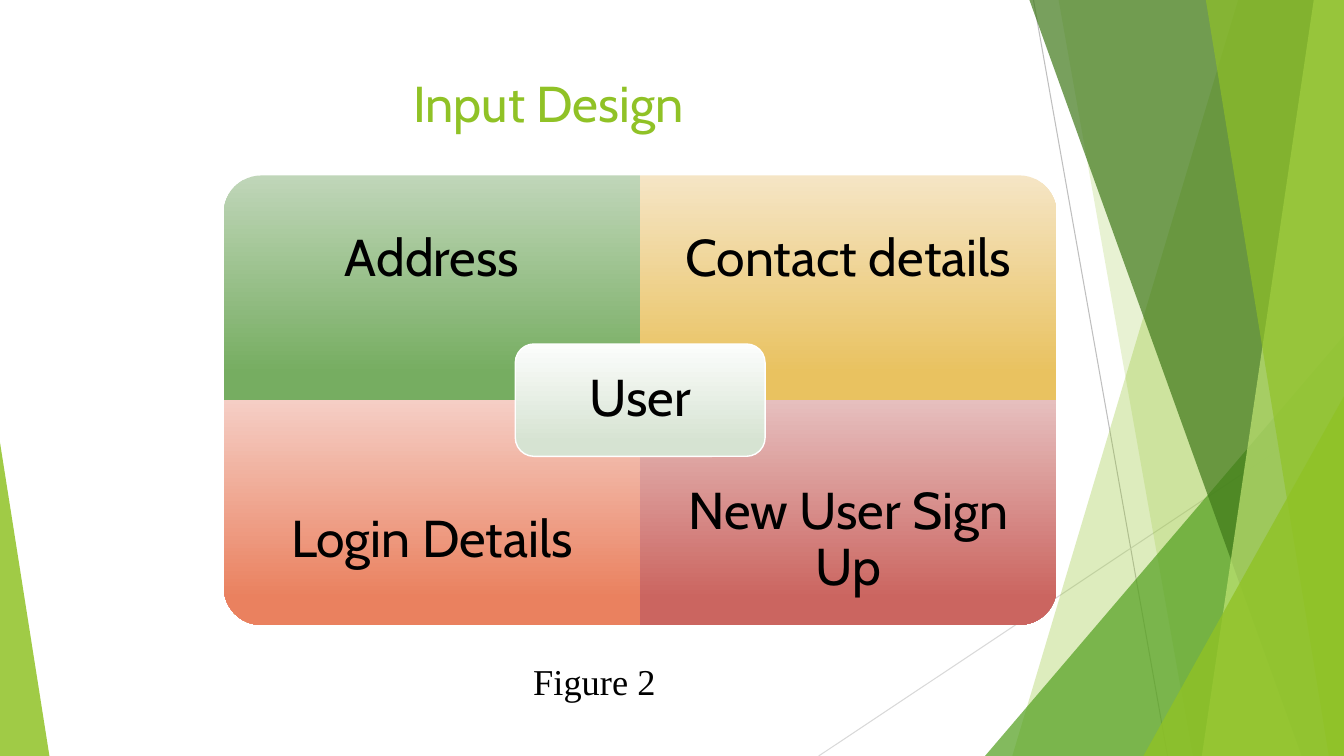
import pptx
import pptx.util
import pptx.dml.color
import pptx.enum.shapes
import pptx.enum.text
import pptx.oxml.ns
import lxml.etree

Inches = pptx.util.Inches
Pt = pptx.util.Pt
RGBColor = pptx.dml.color.RGBColor
SHAPE = pptx.enum.shapes.MSO_SHAPE
ANCHOR = pptx.enum.text.MSO_ANCHOR
ALIGN = pptx.enum.text.PP_ALIGN
qn = pptx.oxml.ns.qn

WIDTH, HEIGHT = 13.33, 7.5
BLACK = RGBColor(0, 0, 0)
WHITE = RGBColor(255, 255, 255)
LIME = RGBColor(0x90, 0xC2, 0x26)
LEAF = RGBColor(0x54, 0xA0, 0x21)
FOREST = RGBColor(0x3F, 0x78, 0x19)
PALE_LIME = RGBColor(0xC0, 0xE4, 0x74)
GREY = RGBColor(0xBF, 0xBF, 0xBF)
PALE_GREY = RGBColor(0xD9, 0xD9, 0xD9)
GREENS = RGBColor(0xC0, 0xD6, 0xB9), RGBColor(0x76, 0xAD, 0x61)
GOLDS = RGBColor(0xF5, 0xE5, 0xC5), RGBColor(0xE9, 0xC2, 0x60)
ORANGES = RGBColor(0xF5, 0xCE, 0xC5), RGBColor(0xEA, 0x81, 0x5F)
REDS = RGBColor(0xE6, 0xBF, 0xBE), RGBColor(0xCB, 0x65, 0x60)
MINTS = RGBColor(0xFC, 0xFD, 0xFC), RGBColor(0xD6, 0xE3, 0xD2)

TITLE = "Input Design"
CAPTION = "Figure 2"
CENTRE = "User"
QUADRANTS = [
    ("Address", 0, 0, 270, GREENS),
    ("Contact details", 1, 0, 0, GOLDS),
    ("Login Details", 0, 1, 180, ORANGES),
    ("New User Sign Up", 1, 1, 90, REDS),
]
RAYS = [
    (10.25, 0, 11.58, HEIGHT, GREY),
    (WIDTH, 4.03, 8.12, HEIGHT, PALE_GREY),
]
BANDS = [
    ("band", 12.28, 10.04, LIME, 30),
    ("band", 10.5, 11.83, LIME, 20),
    ("triangle", 9.77, 3.33, 3.56, 1, LEAF, 72),
    ("band", 10.21, 12.91, FOREST, 70),
    ("band", 13.03, 11.92, PALE_LIME, 70),
    ("band", 11.96, 13.18, LIME, 65),
    ("triangle", 11.34, 3.93, 1.99, 1, LIME, 80),
    ("triangle", 0, 4.39, 0.49, 0, LIME, 85),
]
GRID_LEFT, GRID_TOP = 2.22, 1.74
CELL_WIDTH, CELL_HEIGHT = 4.13, 2.23
LABEL_HEIGHT = CELL_HEIGHT * 0.75
USER_WIDTH, USER_HEIGHT = CELL_WIDTH * 0.6, CELL_HEIGHT / 2

deck = pptx.Presentation()
deck.slide_width, deck.slide_height = Inches(WIDTH), Inches(HEIGHT)
page = deck.slides.add_slide(deck.slide_layouts[6])


def add_text(text, left, top, width, height, size=37, font="Cabin", color=BLACK,
             align=ALIGN.CENTER, anchor=ANCHOR.MIDDLE, inset=None, spacing=None):
    box = page.shapes.add_textbox(*map(Inches, (left, top, width, height)))
    frame = box.text_frame
    frame.word_wrap = True
    frame.vertical_anchor = anchor
    if inset is not None:
        frame.margin_left = frame.margin_right = Inches(inset)
        frame.margin_top = frame.margin_bottom = Inches(inset)
    para = frame.paragraphs[0]
    para.alignment = align
    para.line_spacing = spacing
    span = para.add_run()
    span.text = text
    span.font.size = Pt(size)
    span.font.name = font
    span.font.color.rgb = color


def add_preset(kind, left, top, width, height):
    shape = page.shapes.add_shape(kind, *map(Inches, (left, top, width, height)))
    shape.shadow.inherit = False
    shape.line.fill.background()
    return shape


def fill_clear(shape, color, opacity):
    shape.fill.solid()
    shape.fill.fore_color.rgb = color
    tone = shape._element.spPr.find(qn("a:solidFill"))[0]
    lxml.etree.SubElement(tone, qn("a:alpha")).set("val", str(opacity * 1000))


def fill_down(shape, colors):
    shape.fill.gradient()
    shape.fill.gradient_angle = 270
    for stop, position, color in zip(shape.fill.gradient_stops, (0, 0.88), colors):
        stop.position = position
        stop.color.rgb = color
    shape._element.spPr.find(qn("a:gradFill")).set("rotWithShape", "0")


def add_ray(x1, y1, x2, y2, color):
    ray = page.shapes.add_connector(
        pptx.enum.shapes.MSO_CONNECTOR.STRAIGHT, *map(Inches, (x1, y1, x2, y2)))
    ray.line.color.rgb = color
    ray.line.width = Pt(0.75)
    lxml.etree.SubElement(ray._element.spPr, qn("a:effectLst"))


def add_band(top_x, bottom_x, color, opacity):
    builder = page.shapes.build_freeform(Inches(top_x), 0)
    corners = (WIDTH, 0), (WIDTH, HEIGHT), (bottom_x, HEIGHT)
    builder.add_line_segments([(Inches(x), Inches(y)) for x, y in corners])
    band = builder.convert_to_shape()
    band.shadow.inherit = False
    band.line.fill.background()
    fill_clear(band, color, opacity)


def add_triangle(left, top, width, apex, color, opacity):
    triangle = add_preset(SHAPE.ISOSCELES_TRIANGLE, left, top, width, HEIGHT - top)
    triangle.adjustments[0] = apex
    fill_clear(triangle, color, opacity)


def add_quadrant(text, column, row, turn, colors):
    left = GRID_LEFT + column * CELL_WIDTH
    top = GRID_TOP + row * CELL_HEIGHT
    width, height = CELL_WIDTH, CELL_HEIGHT
    if turn % 180:
        width, height = height, width
    quadrant = add_preset(SHAPE.ROUND_1_RECTANGLE, left + (CELL_WIDTH - width) / 2,
                          top + (CELL_HEIGHT - height) / 2, width, height)
    quadrant.rotation = turn
    fill_down(quadrant, colors)
    label_top = top + row * (CELL_HEIGHT - LABEL_HEIGHT)
    add_text(text, left, label_top, CELL_WIDTH, LABEL_HEIGHT, inset=0.29, spacing=0.9)


for ray in RAYS:
    add_ray(*ray)
for kind, *values in BANDS:
    (add_band if kind == "band" else add_triangle)(*values)
add_text(TITLE, 0.74, 0.67, 9.4, 1.44, size=36, color=LIME, anchor=ANCHOR.TOP)
for quadrant in QUADRANTS:
    add_quadrant(*quadrant)

user_area = (GRID_LEFT + CELL_WIDTH - USER_WIDTH / 2,
             GRID_TOP + CELL_HEIGHT - USER_HEIGHT / 2, USER_WIDTH, USER_HEIGHT)
user = add_preset(SHAPE.ROUNDED_RECTANGLE, *user_area)
fill_down(user, MINTS)
user.line.color.rgb = WHITE
user.line.width = Pt(1)
add_text(CENTRE, *user_area, inset=0.2, spacing=0.9)
add_text(CAPTION, 5.19, 6.49, 2.36, 0.54, size=26, font="Times New Roman",
         align=ALIGN.LEFT, anchor=ANCHOR.TOP)

deck.save("out.pptx")
